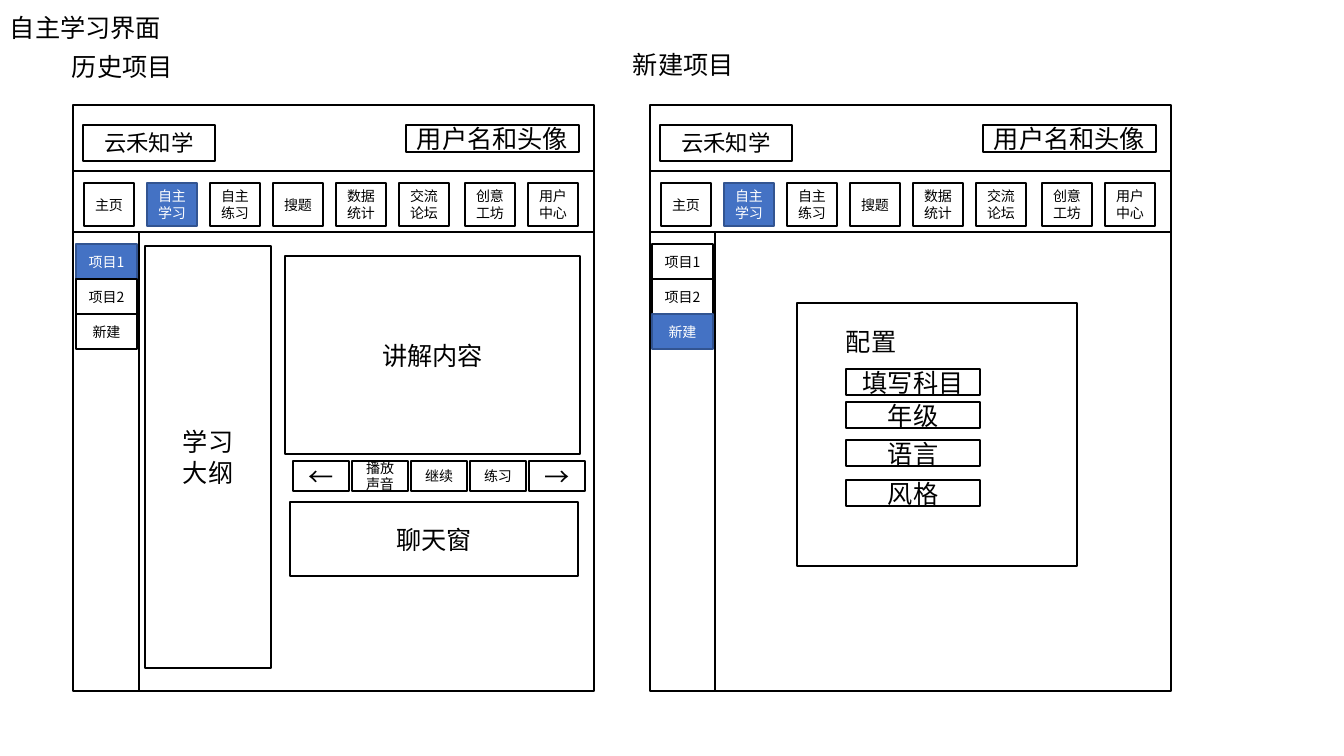
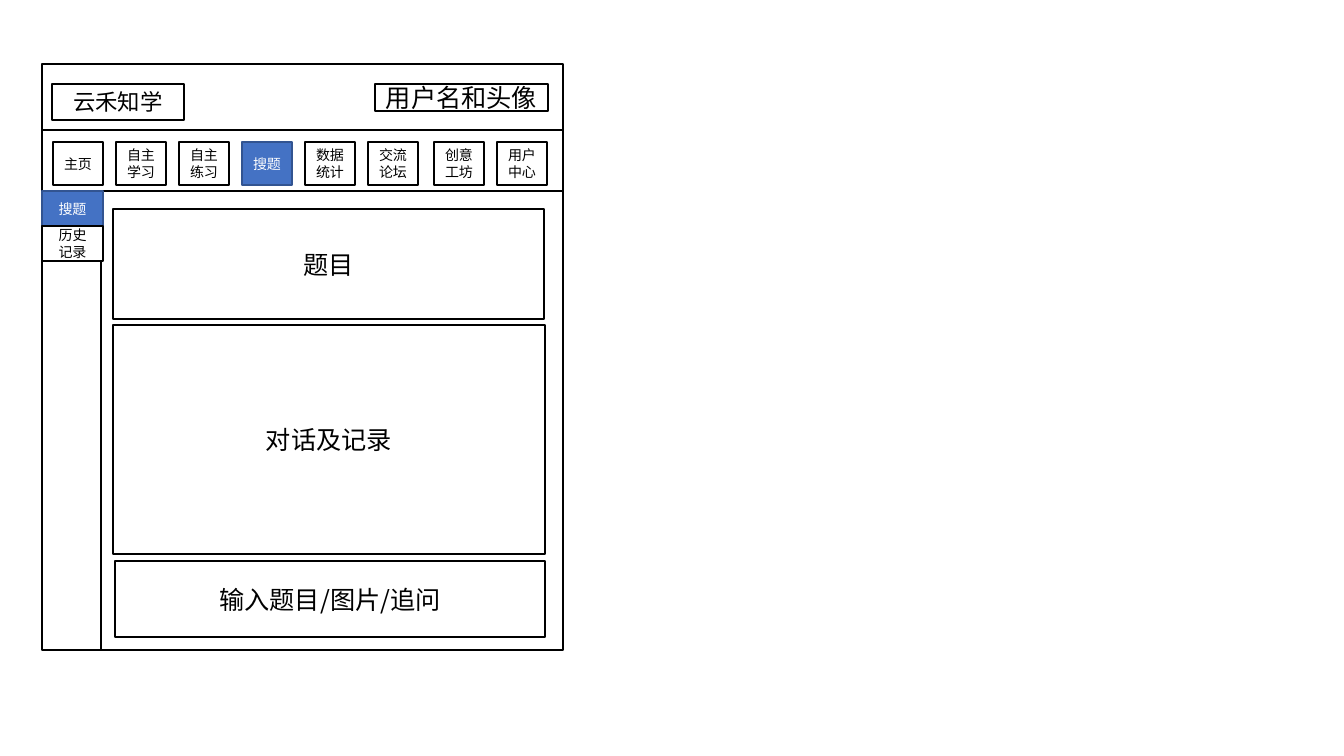
from lxml import etree
from pptx import Presentation
from pptx.dml.color import RGBColor
from pptx.enum import shapes, text
from pptx.oxml import ns
from pptx.util import Pt

PX = 914400 / 100.8
FONT = "Noto Sans CJK SC"
COLORS = {
    "paper": "FFFFFF",
    "ink": "000000",
    "active": "4472C4",
    "active_edge": "325491",
}
SMALL, BRAND, LARGE = 10, 16, 18

FRAME = (521, 586)
HEADER_Y, NAV_Y = 66, 127
HEADER = [
    ("云禾知学", (10, 20, 132, 36), BRAND),
    ("用户名和头像", (333, 20, 173, 27), LARGE),
]
TABS = ["主页", "自主学习", "自主练习", "搜题", "数据统计", "交流论坛", "创意工坊", "用户中心"]
TAB_LEFT, TAB_TOP, TAB_PITCH, TAB_SIZE = 11, 78, 63, (50, 43)
LATE_TAB, LATE_SHIFT = 6, 3
MENU_SIZE = (61, 35)
PROJECTS = ["项目1", "项目2", "新建"]

CONTROLS = ["←", "播放声音", "继续", "练习", "→"]
CONTROL_LEFT, CONTROL_TOP, CONTROL_PITCH, CONTROL_SIZE = 293, 461, 59, (56, 30)
FIELDS = [("填写科目", 369), ("年级", 402), ("语言", 440), ("风格", 480)]
FIELD_LEFT, FIELD_SIZE = 846, (134, 26)

PAGES = [
    {
        "windows": [
            {"at": (650, 105), "tab": "自主学习", "divider": 65,
             "menu": PROJECTS, "menu_at": (2, 139), "chosen": "新建"},
            {"at": (73, 105), "tab": "自主学习", "divider": 66,
             "menu": PROJECTS, "menu_at": (3, 139), "chosen": "项目1"},
        ],
        "panels": [
            ("学习\n大纲", (145, 246, 126, 422)),
            ("讲解内容", (285, 256, 295, 198)),
            ("聊天窗", (290, 502, 288, 74)),
            ("", (797, 303, 280, 263)),
        ],
        "labels": [
            ("自主学习界面", (0, 7, 323, 40)),
            ("历史项目", (62, 46, 134, 40)),
            ("新建项目", (623, 44, 134, 40)),
            ("配置", (836, 321, 108, 40)),
        ],
        "controls": CONTROLS,
        "fields": FIELDS,
    },
    {
        "windows": [
            {"at": (42, 64), "tab": "搜题", "divider": 59,
             "menu": ["搜题", "历史记录"], "menu_at": (0, 127), "chosen": "搜题"},
        ],
        "panels": [
            ("题目", (113, 209, 431, 110)),
            ("对话及记录", (113, 325, 432, 229)),
            ("输入题目/图片/追问", (115, 561, 430, 76)),
        ],
    },
]


def px(value):
    return round(value * PX)


def color(name):
    return RGBColor.from_string(COLORS[name])


def write(box, content, size=LARGE, ink="ink", align=text.PP_ALIGN.CENTER,
          anchor=text.MSO_ANCHOR.MIDDLE):
    frame = box.text_frame
    frame.word_wrap = True
    frame.vertical_anchor = anchor
    for index, line in enumerate(content.split("\n")):
        para = frame.add_paragraph() if index else frame.paragraphs[0]
        para.alignment = align
        span = para.add_run()
        span.text = line
        span.font.name = FONT
        span.font.size = Pt(size)
        span.font.color.rgb = color(ink)
        east = etree.SubElement(span.font._element, ns.qn("a:ea"))
        east.set("typeface", FONT)


def add_box(parent, at, content="", size=LARGE, active=False):
    box = parent.add_shape(shapes.MSO_SHAPE.RECTANGLE, *map(px, at))
    box.shadow.inherit = False
    box.fill.solid()
    box.fill.fore_color.rgb = color("active" if active else "paper")
    box.line.color.rgb = color("active_edge" if active else "ink")
    box.line.width = Pt(1)
    if content:
        write(box, content, size, "paper" if active else "ink")


def add_line(parent, *ends):
    line = parent.add_connector(shapes.MSO_CONNECTOR.STRAIGHT, *map(px, ends))
    line.line.color.rgb = color("ink")
    line.line.width = Pt(1)
    etree.SubElement(line._element.spPr, ns.qn("a:effectLst"))


def add_label(page, content, at):
    label = page.shapes.add_textbox(*map(px, at))
    write(label, content, align=text.PP_ALIGN.LEFT, anchor=text.MSO_ANCHOR.TOP)
    label.text_frame.auto_size = text.MSO_AUTO_SIZE.SHAPE_TO_FIT_TEXT


def add_window(page, window):
    left, top = window["at"]
    width, height = FRAME
    group = page.shapes.add_group_shape().shapes
    add_box(group, (left, top, width, height))
    for y in (HEADER_Y, NAV_Y):
        add_line(group, left, top + y, left + width, top + y)
    for content, (x, y, *extent), size in HEADER:
        add_box(group, (left + x, top + y, *extent), content, size)
    for index, tab in enumerate(TABS):
        x = left + TAB_LEFT + TAB_PITCH * index
        x += LATE_SHIFT if index >= LATE_TAB else 0
        add_box(group, (x, top + TAB_TOP, *TAB_SIZE), tab, SMALL, tab == window["tab"])

    divider = left + window["divider"]
    add_line(page.shapes, divider, top + NAV_Y, divider, top + height)
    menu_x, menu_y = window["menu_at"]
    for index, item in enumerate(window["menu"]):
        y = top + menu_y + MENU_SIZE[1] * index
        add_box(page.shapes, (left + menu_x, y, *MENU_SIZE), item, SMALL,
                item == window["chosen"])


def add_page(deck, content):
    page = deck.slides.add_slide(deck.slide_layouts[6])
    for window in content["windows"]:
        add_window(page, window)
    for panel, at in content["panels"]:
        add_box(page.shapes, at, panel)
    for index, control in enumerate(content.get("controls", [])):
        x = CONTROL_LEFT + CONTROL_PITCH * index
        size = LARGE if control in "←→" else SMALL
        add_box(page.shapes, (x, CONTROL_TOP, *CONTROL_SIZE), control, size)
    for field, y in content.get("fields", []):
        add_box(page.shapes, (FIELD_LEFT, y, *FIELD_SIZE), field)
    for label, at in content.get("labels", []):
        add_label(page, label, at)


def main():
    deck = Presentation()
    deck.slide_width, deck.slide_height = px(1344), px(756)
    for content in PAGES:
        add_page(deck, content)
    deck.save("out.pptx")


if __name__ == "__main__":
    main()
